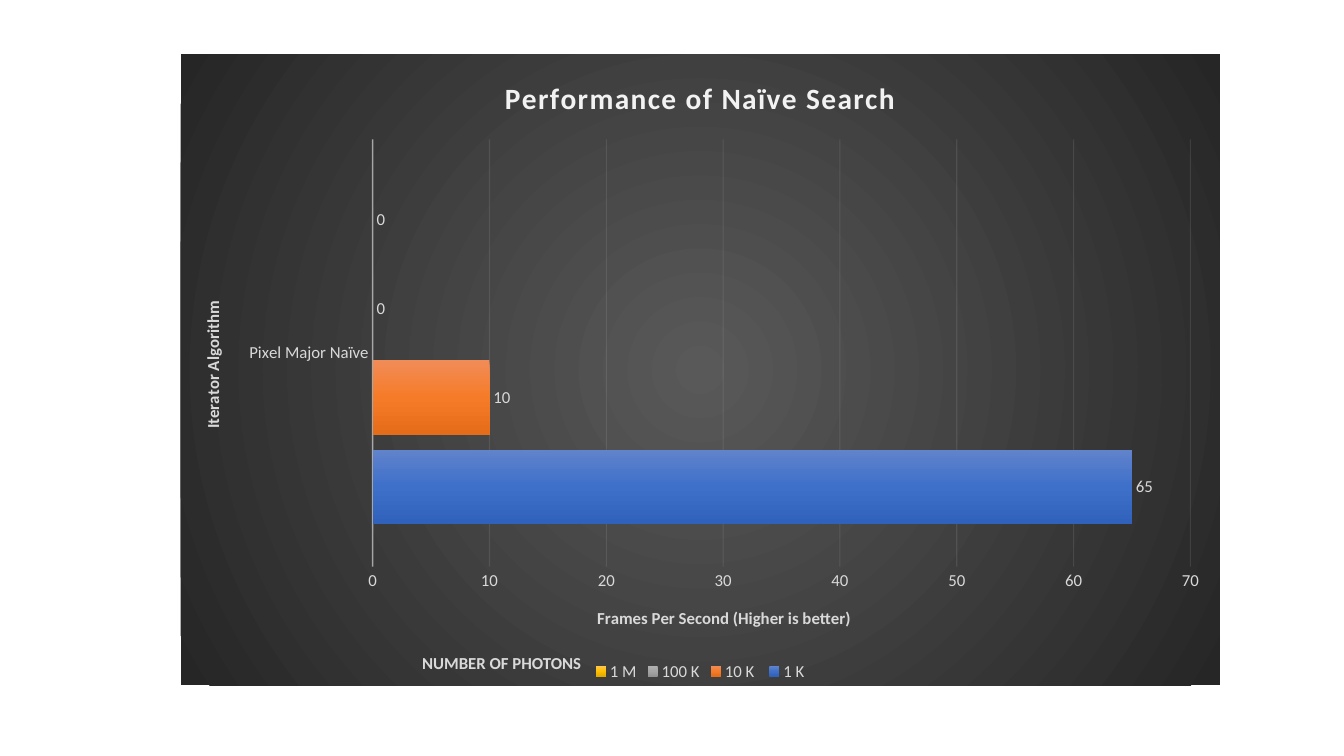
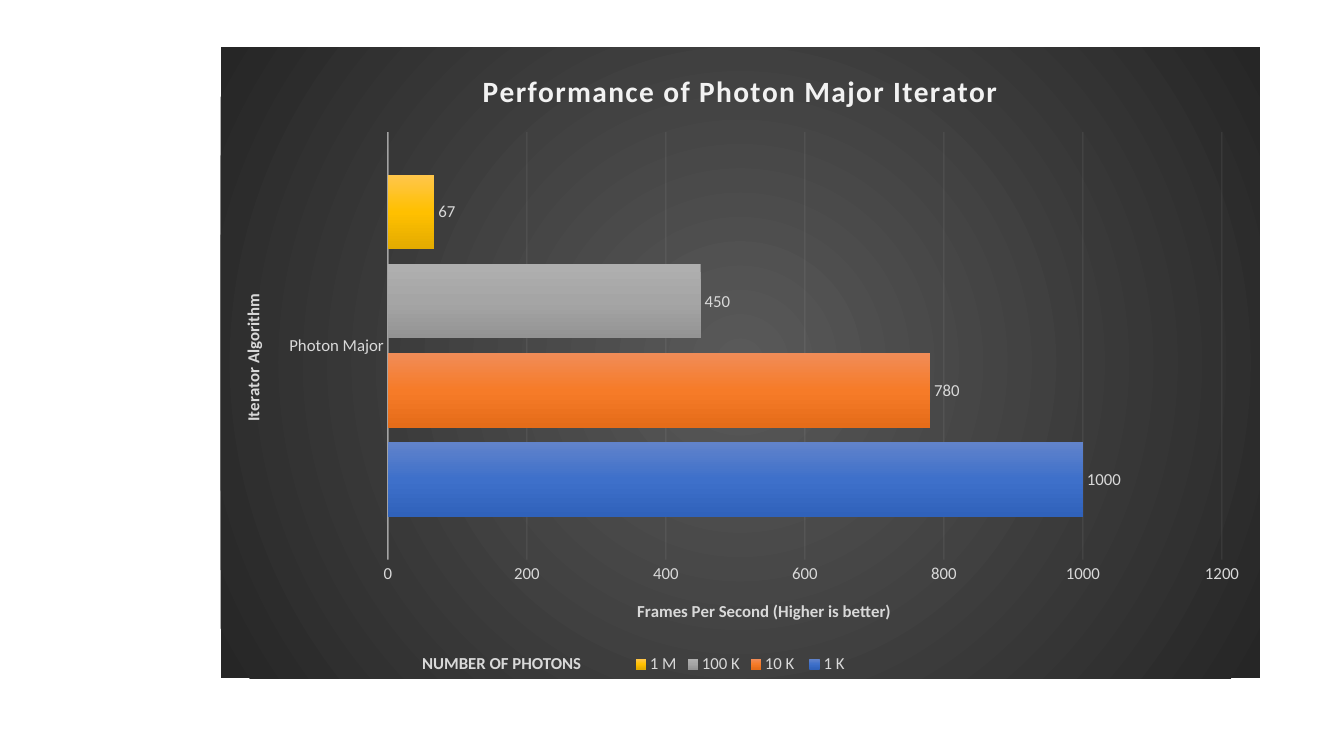
from dataclasses import dataclass

from lxml.etree import SubElement
from pptx import Presentation
from pptx.chart.chart import Chart
from pptx.chart.data import CategoryChartData
from pptx.dml.color import RGBColor
from pptx.enum.chart import (XL_CHART_TYPE, XL_LABEL_POSITION,
                             XL_LEGEND_POSITION, XL_TICK_MARK)
from pptx.enum.text import MSO_AUTO_SIZE, PP_ALIGN
from pptx.oxml.ns import qn
from pptx.oxml.xmlchemy import BaseOxmlElement
from pptx.slide import Slide
from pptx.text.text import Font, TextFrame
from pptx.util import Cm, Pt


@dataclass(frozen=True)
class Theme:
    font: str = "Calibri"
    title_size: float = 21
    text_size: float = 12
    title_color: str = "F2F2F2"
    text_color: str = "D9D9D9"
    line_color: str = "F2F2F2"
    background: tuple[str, ...] = ("595959", "262626")


@dataclass(frozen=True)
class PhotonCount:
    name: str
    gradient: tuple[str, ...]


@dataclass(frozen=True)
class PerformanceSlide:
    title: str
    algorithm: str
    frame_rates: tuple[int, ...]
    left: float
    top: float


THEME = Theme()
CHART_WIDTH, CHART_HEIGHT = 26.19, 15.9

PHOTON_COUNTS = (
    PhotonCount("1 K", ("6183CB", "3E70CA", "3062BB")),
    PhotonCount("10 K ", ("F18C57", "F67B28", "E56C19")),
    PhotonCount("100 K", ("AFAFAF", "A5A5A5", "939393")),
    PhotonCount("1 M", ("FFC64B", "FFC000", "E3AB00")),
)

SLIDES = (
    PerformanceSlide("Performance of Naïve Search", "Pixel Major Naïve",
                     (65, 10, 0, 0), 4.55, 1.37),
    PerformanceSlide("Performance of Photon Major Iterator", "Photon Major",
                     (1000, 780, 450, 67), 5.56, 1.19),
)


# Text
def format_font(font: Font, *, size: float = THEME.text_size,
                color: str = THEME.text_color, bold: bool = False) -> None:
    font.name = THEME.font
    font.size = Pt(size)
    font.bold = bold
    font.color.rgb = RGBColor.from_string(color)


def write_text(frame: TextFrame, text: str, *, size: float = THEME.text_size,
               color: str = THEME.text_color, spacing: float = 0) -> None:
    paragraph = frame.paragraphs[0]
    paragraph.alignment = PP_ALIGN.CENTER
    run = paragraph.add_run()
    run.text = text
    format_font(run.font, size=size, color=color, bold=True)
    if spacing:
        run._r.get_or_add_rPr().set("spc", str(round(spacing * 100)))


# Fills and lines
def add_gradient(properties: BaseOxmlElement, colors: tuple[str, ...], *,
                 radial: bool = False) -> None:
    gradient = SubElement(properties, qn("a:gradFill"), rotWithShape="1")
    stops = SubElement(gradient, qn("a:gsLst"))
    for index, color in enumerate(colors):
        position = round(100000 * index / (len(colors) - 1))
        stop = SubElement(stops, qn("a:gs"), pos=str(position))
        SubElement(stop, qn("a:srgbClr"), val=color)
    if radial:
        circle = SubElement(gradient, qn("a:path"))
        circle.set("path", "circle")
        SubElement(circle, qn("a:fillToRect"), l="50000", t="50000", r="50000", b="50000")
    else:
        SubElement(gradient, qn("a:lin"), ang="5400000", scaled="0")


def set_opacity(element: BaseOxmlElement, percent: int) -> None:
    color = element.find(".//" + qn("a:srgbClr"))
    SubElement(color, qn("a:alpha"), val=str(percent * 1000))


# Chart parts
def style_background(chart: Chart) -> None:
    properties = chart.element.makeelement(qn("c:spPr"))
    chart.element.find(qn("c:txPr")).addprevious(properties)
    add_gradient(properties, THEME.background, radial=True)
    SubElement(SubElement(properties, qn("a:ln")), qn("a:noFill"))


def style_axes(chart: Chart) -> None:
    category_axis, value_axis = chart.category_axis, chart.value_axis
    for axis, title in ((category_axis, "Iterator Algorithm"),
                        (value_axis, "Frames Per Second (Higher is better)")):
        axis.major_tick_mark = XL_TICK_MARK.NONE
        axis.minor_tick_mark = XL_TICK_MARK.NONE
        format_font(axis.tick_labels.font)
        write_text(axis.axis_title.text_frame, title)
    body = category_axis.axis_title.text_frame._txBody.bodyPr
    body.set("rot", "-5400000")
    body.set("vert", "horz")

    value_axis.format.line.fill.background()
    value_axis.has_major_gridlines = True
    for line, width in ((category_axis.format.line, 1),
                        (value_axis.major_gridlines.format.line, 0.75)):
        line.color.rgb = RGBColor.from_string(THEME.line_color)
        line.width = Pt(width)
    set_opacity(category_axis._element.find(qn("c:spPr")), 54)
    set_opacity(value_axis._element.find(qn("c:majorGridlines")), 10)


def style_bars(chart: Chart) -> None:
    plot = chart.plots[0]
    plot.gap_width = 115
    plot.overlap = -20
    plot.vary_by_categories = False
    for series, photon_count in zip(plot.series, PHOTON_COUNTS):
        add_gradient(series._element.get_or_add_spPr(), photon_count.gradient)
        labels = series.data_labels
        labels.show_value = True
        labels.position = XL_LABEL_POSITION.OUTSIDE_END
        format_font(labels.font)


def add_performance_chart(slide: Slide, content: PerformanceSlide) -> None:
    data = CategoryChartData()
    data.categories = [content.algorithm]
    for photon_count, rate in zip(PHOTON_COUNTS, content.frame_rates):
        data.add_series(photon_count.name, [rate])
    chart = slide.shapes.add_chart(
        XL_CHART_TYPE.BAR_CLUSTERED, Cm(content.left), Cm(content.top),
        Cm(CHART_WIDTH), Cm(CHART_HEIGHT), data).chart
    format_font(chart.font, size=10, color="000000")
    chart.has_title = True
    write_text(chart.chart_title.text_frame, content.title,
               size=THEME.title_size, color=THEME.title_color, spacing=1)
    chart.chart_title.include_in_layout = False
    chart.has_legend = True
    chart.legend.position = XL_LEGEND_POSITION.BOTTOM
    chart.legend.include_in_layout = False
    format_font(chart.legend.font)
    style_background(chart)
    style_axes(chart)
    style_bars(chart)


# Caption beside the legend
def add_legend_caption(slide: Slide) -> None:
    caption = slide.shapes.add_textbox(Cm(10.36), Cm(16.33), Cm(4.57), Cm(0.77))
    frame = caption.text_frame
    frame.word_wrap = False
    frame.auto_size = MSO_AUTO_SIZE.SHAPE_TO_FIT_TEXT
    write_text(frame, "NUMBER OF PHOTONS")


# Presentation
presentation = Presentation()
presentation.slide_width = Cm(33.87)
presentation.slide_height = Cm(19.05)
blank_layout = presentation.slide_layouts[6]
for slide_content in SLIDES:
    new_slide = presentation.slides.add_slide(blank_layout)
    add_performance_chart(new_slide, slide_content)
    add_legend_caption(new_slide)
presentation.save("out.pptx")
